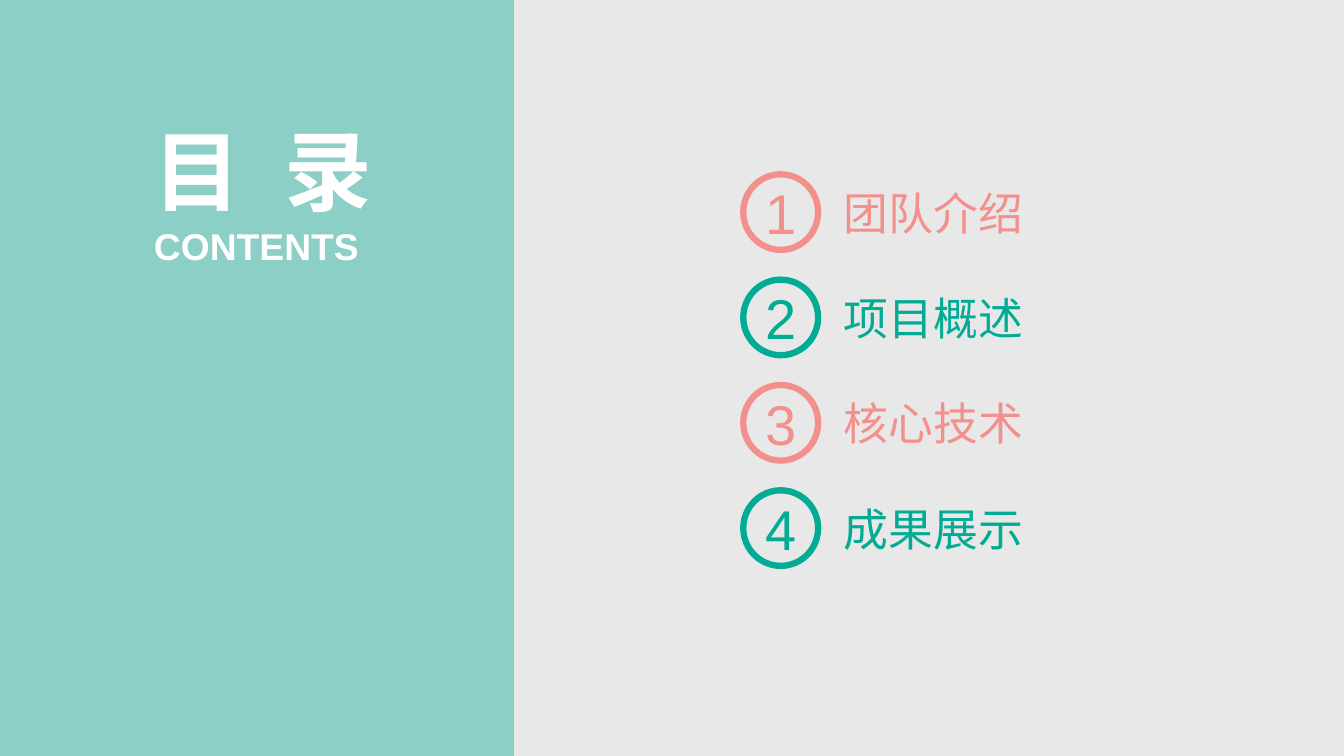
from dataclasses import dataclass
from typing import Any

from pptx import Presentation
from pptx.dml.color import RGBColor
from pptx.enum import shapes, text
from pptx.util import Pt

WHITE, GREY, MINT = "FFFFFF", "E8E8E8", "8BCFC6"
CORAL, GREEN = "F3908C", "01AB94"
FIRST_TOP, PITCH = 124.5, 75.24
CIRCLE_W, CIRCLE_H, LABEL_H = 53.5, 54, 38.8


@dataclass
class Entry:
    label: str
    color: str


ENTRIES = [
    Entry("团队介绍", CORAL),
    Entry("项目概述", GREEN),
    Entry("核心技术", CORAL),
    Entry("成果展示", GREEN),
]


def paint(target: Any, color: str) -> None:
    target.solid()
    target.fore_color.rgb = RGBColor.from_string(color)


def write(sp: Any, content: str, size: float, color: str,
          align: Any = text.PP_ALIGN.CENTER, bold: bool = False) -> Any:
    tf = sp.text_frame
    frame_format = {
        "margin_left": 0, "margin_top": 0, "margin_right": 0, "margin_bottom": 0,
        "word_wrap": True, "auto_size": text.MSO_AUTO_SIZE.NONE,
        "vertical_anchor": text.MSO_ANCHOR.MIDDLE,
    }
    for name, value in frame_format.items():
        setattr(tf, name, value)
    p = tf.paragraphs[0]
    p.alignment = align
    r = p.add_run()
    r.text = content
    for name, value in {"name": "Arial", "size": Pt(size), "bold": bold}.items():
        setattr(r.font, name, value)
    paint(r.font.fill, color)
    return r


def add_panel(s: Any) -> None:
    sp = s.shapes.add_shape(shapes.MSO_SHAPE.RECTANGLE, 0, 0, Pt(367.2), Pt(540))
    sp.shadow.inherit = False
    paint(sp.fill, MINT)
    sp.line.fill.background()
    s.shapes.title._element.addprevious(sp._element)


def add_heading(s: Any) -> None:
    sp = s.shapes.title
    box = {"left": 97.2, "top": 83.5, "width": 181.4, "height": 75.6}
    for name, value in box.items():
        setattr(sp, name, Pt(value))
    r = write(sp, "目 录", 62.6, WHITE, bold=True)
    r._r.get_or_add_rPr().set("spc", "870")
    sub = s.shapes.add_textbox(Pt(93.6), Pt(159.1), Pt(179.3), Pt(32.4))
    write(sub, "CONTENTS", 26.6, WHITE, bold=True)


def add_entry(s: Any, index: int, entry: Entry) -> None:
    top = FIRST_TOP + index * PITCH
    sp = s.shapes.add_shape(shapes.MSO_SHAPE.OVAL, Pt(530.9), Pt(top),
                            Pt(CIRCLE_W), Pt(CIRCLE_H))
    sp.shadow.inherit = False
    sp.fill.background()
    paint(sp.line.fill, entry.color)
    sp.line.width = Pt(4.5)
    write(sp, str(index + 1), 40, entry.color)
    label = s.shapes.add_textbox(Pt(602.6), Pt(top + (CIRCLE_H - LABEL_H) / 2),
                                 Pt(202.3), Pt(LABEL_H))
    write(label, entry.label, 32, entry.color, text.PP_ALIGN.LEFT)


def main() -> None:
    prs = Presentation()
    prs.slide_width, prs.slide_height = Pt(960), Pt(540)
    s = prs.slides.add_slide(prs.slide_layouts.get_by_name("Title Only"))
    paint(s.background.fill, GREY)
    add_panel(s)
    add_heading(s)
    for index, entry in enumerate(ENTRIES):
        add_entry(s, index, entry)
    prs.save("out.pptx")


if __name__ == "__main__":
    main()
